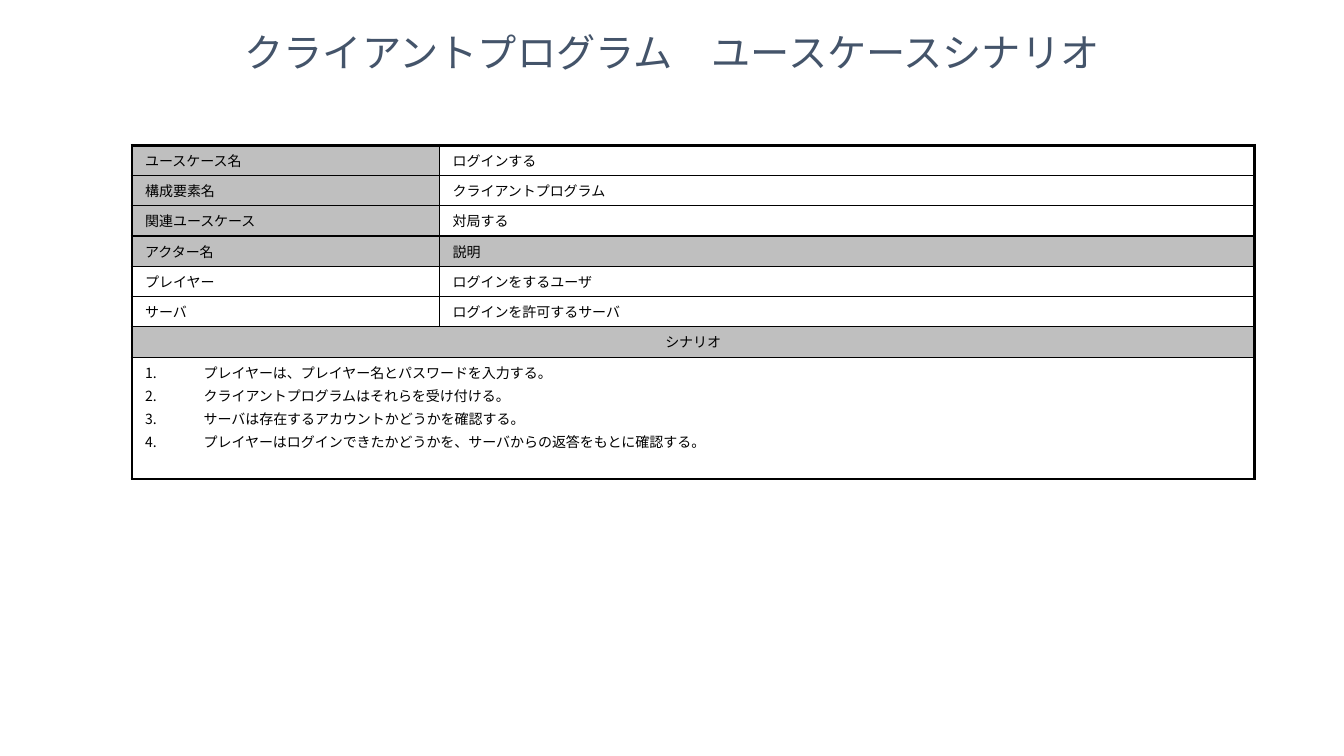
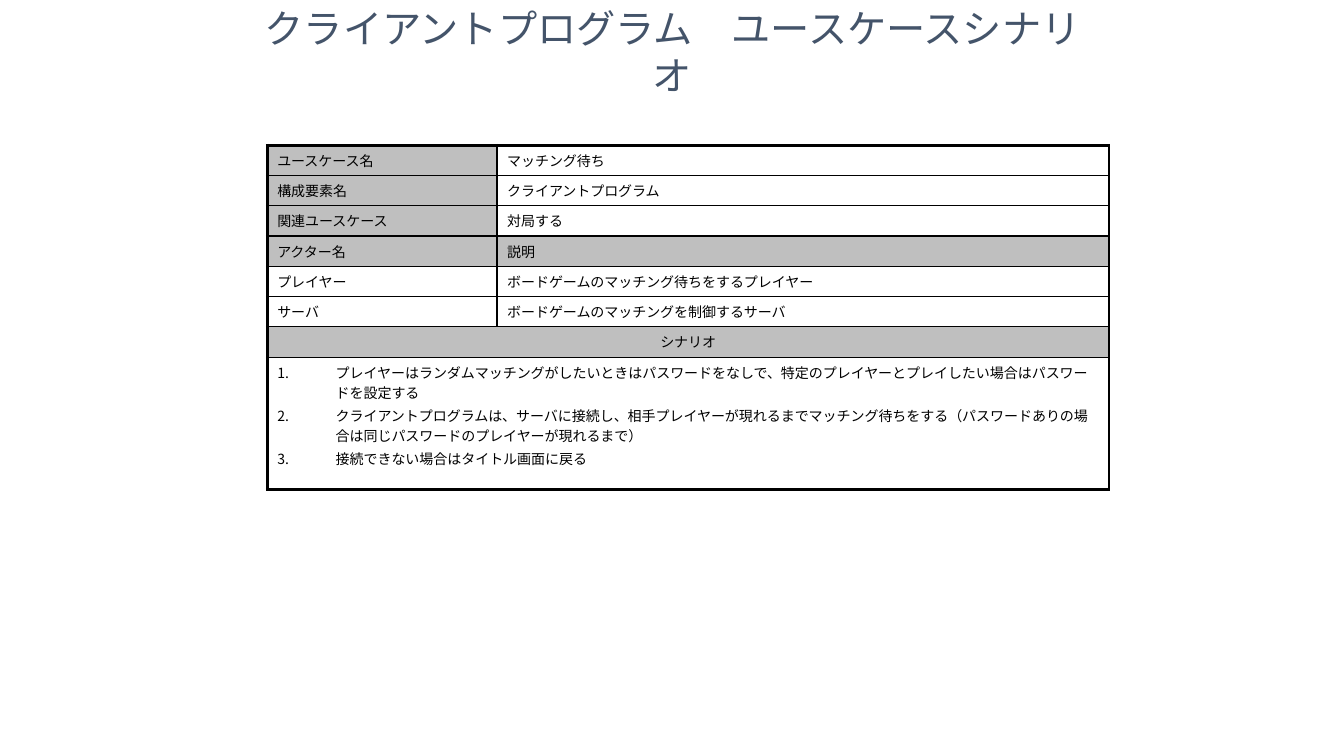
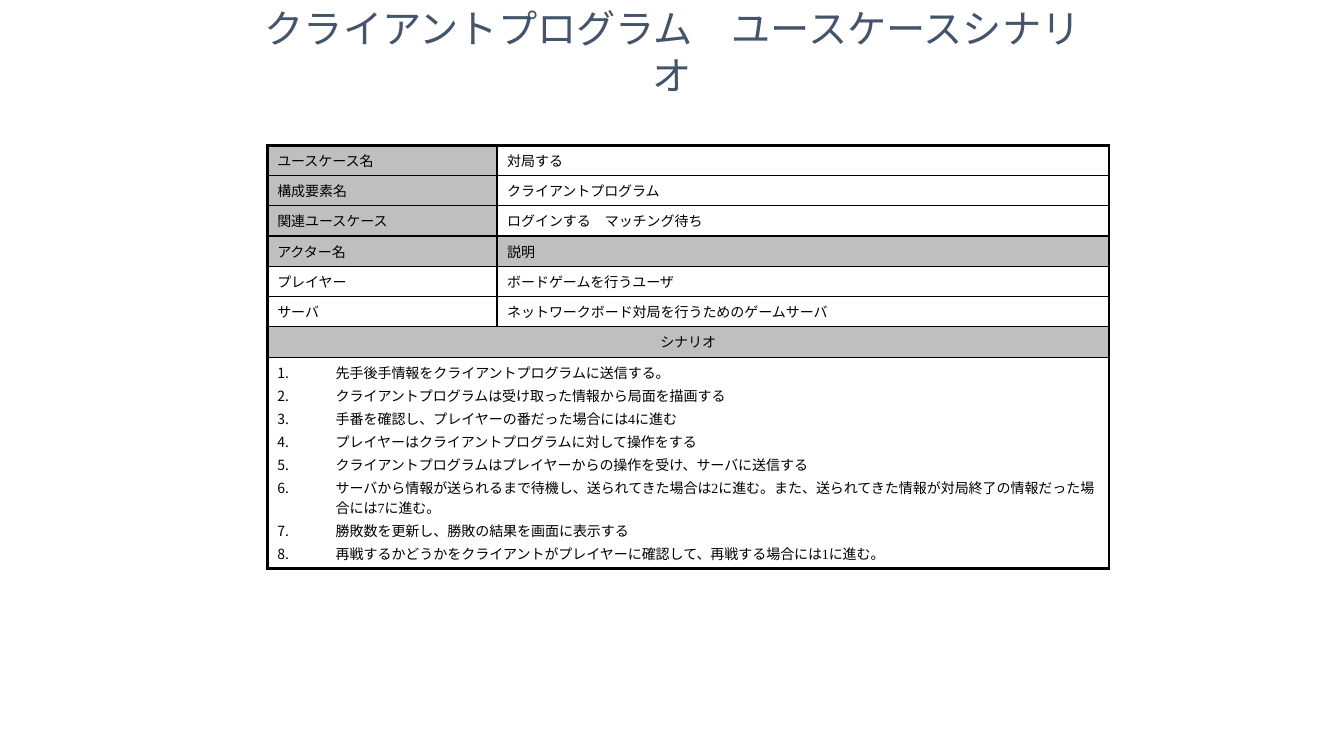
"""Build three use case scenario slides for a client program."""
from lxml import etree
from pptx import Presentation
from pptx.dml.color import RGBColor
from pptx.enum.lang import MSO_LANGUAGE_ID
from pptx.enum.text import MSO_ANCHOR, MSO_AUTO_SIZE, PP_ALIGN
from pptx.oxml.ns import qn
from pptx.util import Inches, Pt

CENTER, LEFT = PP_ALIGN.CENTER, PP_ALIGN.LEFT
MIDDLE = MSO_ANCHOR.MIDDLE
NO_AUTOFIT = MSO_AUTO_SIZE.NONE
JAPANESE = MSO_LANGUAGE_ID.JAPANESE

COLORS = {"title": "44546A", "text": "000000", "border": "000000", "label": "BFBFBF"}
BODY_FONT = "Times New Roman"
TITLE = "クライアントプログラム　ユースケースシナリオ"
COMPONENT = "クライアントプログラム"
TITLE_TOP, TITLE_HEIGHT = 0.27, 0.48
TABLE_TOP, ROW_HEIGHT = 1.44, 0.27
OUTER_LINE, INNER_LINE = 2.25, 1
STEP_INDENT = 0.58

WIDE = {"title": (1, 11.33), "title_font": "Calibri",
        "left": 1.31, "columns": (3.05, 8.08), "inset": 0.13}
NARROW = {"title": (2.42, 8.5), "title_font": BODY_FONT,
          "left": 2.65, "columns": (2.28, 6.07), "inset": 0.1}

SCENARIOS = [
    {"frame": WIDE, "name": "ログインする", "related": "対局する",
     "player": "ログインをするユーザ", "server": "ログインを許可するサーバ",
     "steps_height": 1.21,
     "steps": ["プレイヤーは、プレイヤー名とパスワードを入力する。",
               "クライアントプログラムはそれらを受け付ける。",
               "サーバは存在するアカウントかどうかを確認する。",
               "プレイヤーはログインできたかどうかを、サーバからの返答をもとに確認する。"]},
    {"frame": NARROW, "name": "マッチング待ち", "related": "対局する",
     "player": "ボードゲームのマッチング待ちをするプレイヤー",
     "server": "ボードゲームのマッチングを制御するサーバ",
     "steps_height": 1.31,
     "steps": ["プレイヤーはランダムマッチングがしたいときはパスワードをなしで、"
               "特定のプレイヤーとプレイしたい場合はパスワードを設定する",
               "クライアントプログラムは、サーバに接続し、相手プレイヤーが現れるまで"
               "マッチング待ちをする（パスワードありの場合は同じパスワードのプレイヤーが現れるまで）",
               "接続できない場合はタイトル画面に戻る"]},
    {"frame": NARROW, "name": "対局する", "related": "ログインする　マッチング待ち",
     "player": "ボードゲームを行うユーザ",
     "server": "ネットワークボード対局を行うためのゲームサーバ",
     "steps_height": 1.83,
     "steps": ["先手後手情報をクライアントプログラムに送信する。",
               "クライアントプログラムは受け取った情報から局面を描画する",
               "手番を確認し、プレイヤーの番だった場合には4に進む",
               "プレイヤーはクライアントプログラムに対して操作をする",
               "クライアントプログラムはプレイヤーからの操作を受け、サーバに送信する",
               "サーバから情報が送られるまで待機し、送られてきた場合は2に進む。"
               "また、送られてきた情報が対局終了の情報だった場合には7に進む。",
               "勝敗数を更新し、勝敗の結果を画面に表示する",
               "再戦するかどうかをクライアントがプレイヤーに確認して、再戦する場合には1に進む。"]},
]


def add_run(paragraph, text, size, font, color):
    """Add one formatted Japanese run to a paragraph."""
    run = paragraph.add_run()
    run.text = text
    run.font.size = Pt(size)
    run.font.name = font
    run.font.color.rgb = RGBColor.from_string(color)
    run.font.language_id = JAPANESE


def add_title(slide, frame):
    """Place and format the title placeholder."""
    title = slide.shapes.title
    left, width = frame["title"]
    title.left, title.top = Inches(left), Inches(TITLE_TOP)
    title.width, title.height = Inches(width), Inches(TITLE_HEIGHT)
    text = title.text_frame
    text.word_wrap = True
    text.auto_size = NO_AUTOFIT
    text.vertical_anchor = MIDDLE
    paragraph = text.paragraphs[0]
    paragraph.alignment = CENTER
    add_run(paragraph, TITLE, 28, frame["title_font"], COLORS["title"])


def number_step(paragraph):
    """Give a paragraph a hanging automatic number."""
    properties = paragraph._p.get_or_add_pPr()
    properties.set("marL", str(Inches(STEP_INDENT)))
    properties.set("indent", str(-Inches(STEP_INDENT)))
    etree.SubElement(properties, qn("a:buAutoNum"), type="arabicPeriod")


def set_borders(cell, outer_sides):
    """Draw the four cell borders, thick on the table's outer sides."""
    properties = cell._tc.get_or_add_tcPr()
    for position, side in enumerate("LRTB"):
        weight = OUTER_LINE if side in outer_sides else INNER_LINE
        line = etree.Element(qn(f"a:ln{side}"), w=str(Pt(weight)))
        fill = etree.SubElement(line, qn("a:solidFill"))
        etree.SubElement(fill, qn("a:srgbClr"), val=COLORS["border"])
        properties.insert(position, line)


def fill_cell(cell, texts, inset, outer_sides, shaded=False, centered=False, numbered=False):
    """Write the paragraphs of a cell and format it."""
    cell.margin_left = cell.margin_right = Inches(inset)
    cell.margin_top = cell.margin_bottom = Inches(0.05)
    if shaded:
        cell.fill.solid()
        cell.fill.fore_color.rgb = RGBColor.from_string(COLORS["label"])
    else:
        cell.fill.background()
    for index, text in enumerate(texts):
        paragraph = cell.text_frame.add_paragraph() if index else cell.text_frame.paragraphs[0]
        paragraph.alignment = CENTER if centered else LEFT
        paragraph.space_before = Pt(2)
        if numbered:
            number_step(paragraph)
        add_run(paragraph, text, 10, BODY_FONT, COLORS["text"])
    set_borders(cell, outer_sides)


def add_scenario_table(slide, scenario):
    """Add the use case table with its attributes, actors and steps."""
    frame = scenario["frame"]
    inset = frame["inset"]
    pairs = [("ユースケース名", scenario["name"], True, False),
             ("構成要素名", COMPONENT, True, False),
             ("関連ユースケース", scenario["related"], True, False),
             ("アクター名", "説明", True, True),
             ("プレイヤー", scenario["player"], False, False),
             ("サーバ", scenario["server"], False, False)]
    heights = [ROW_HEIGHT] * (len(pairs) + 1) + [scenario["steps_height"]]
    table = slide.shapes.add_table(
        len(heights), 2, Inches(frame["left"]), Inches(TABLE_TOP),
        Inches(sum(frame["columns"])), Inches(sum(heights))).table
    table.first_row = table.horz_banding = False
    for column, width in zip(table.columns, frame["columns"]):
        column.width = Inches(width)
    for row, height in zip(table.rows, heights):
        row.height = Inches(height)

    for index, (label, value, label_shaded, value_shaded) in enumerate(pairs):
        top = "" if index else "T"
        fill_cell(table.cell(index, 0), [label], inset, "L" + top, label_shaded)
        fill_cell(table.cell(index, 1), [value], inset, "R" + top, value_shaded)

    heading_row = len(pairs)
    steps_row = heading_row + 1
    for row in (heading_row, steps_row):
        table.cell(row, 0).merge(table.cell(row, 1))
    fill_cell(table.cell(heading_row, 0), ["シナリオ"], inset, "LR", shaded=True, centered=True)
    fill_cell(table.cell(steps_row, 0), scenario["steps"], inset, "LRB", numbered=True)


def main():
    """Build and save the presentation."""
    presentation = Presentation()
    presentation.slide_width, presentation.slide_height = Inches(13.33), Inches(7.5)
    title_only = presentation.slide_layouts[5]
    for scenario in SCENARIOS:
        slide = presentation.slides.add_slide(title_only)
        add_title(slide, scenario["frame"])
        add_scenario_table(slide, scenario)
    presentation.save("out.pptx")


if __name__ == "__main__":
    main()
